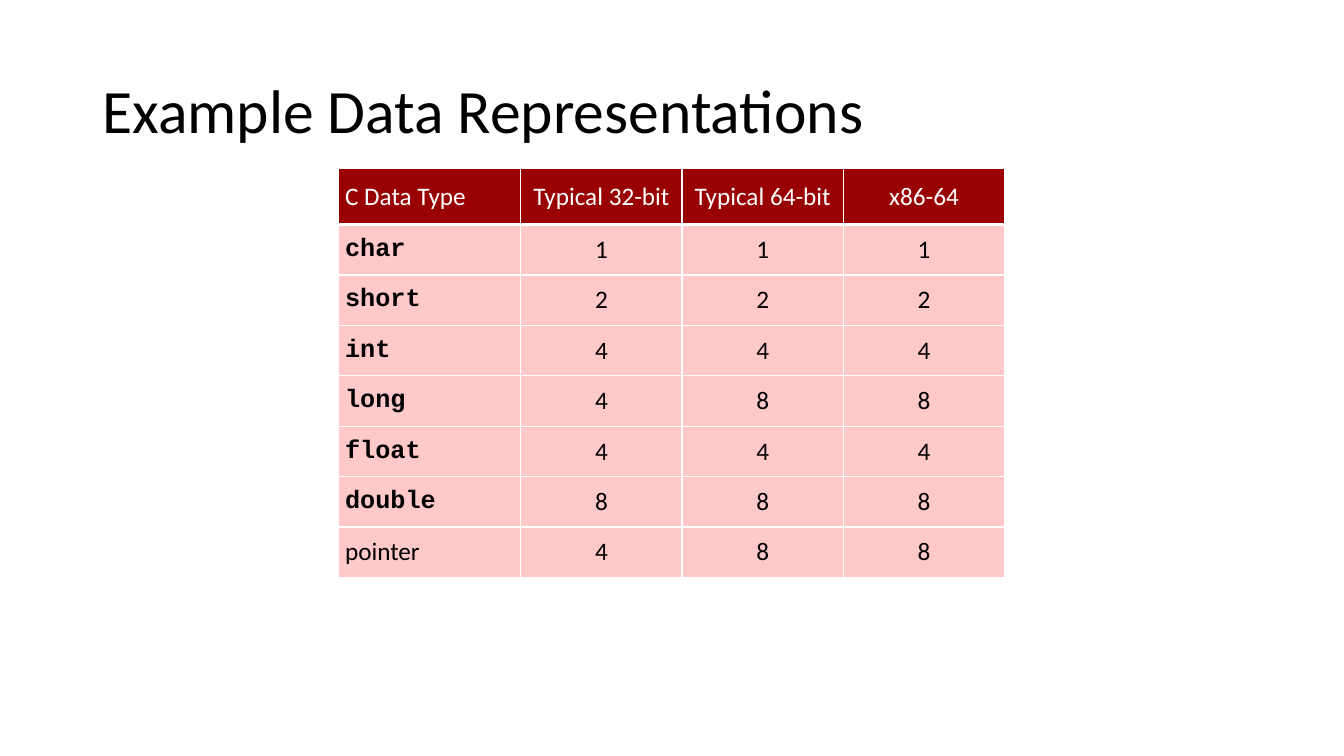
from dataclasses import dataclass

from lxml.etree import SubElement
from pptx import Presentation
from pptx.dml.color import RGBColor
from pptx.enum.text import MSO_ANCHOR, PP_ALIGN
from pptx.oxml.ns import qn
from pptx.util import Pt

# Content: sizes in bytes of each C type
TITLE = "Example Data Representations"
HEADER = ("C Data Type", "Typical 32-bit", "Typical 64-bit", "x86-64")
TYPE_SIZES = [
    ("char", 1, 1, 1),
    ("short", 2, 2, 2),
    ("int", 4, 4, 4),
    ("long", 4, 8, 8),
    ("float", 4, 4, 4),
    ("double", 8, 8, 8),
    ("pointer", 4, 8, 8),
]
KEYWORDS = {"char", "short", "int", "long", "float", "double"}


@dataclass(frozen=True)
class Theme:
    black: str = "000000"
    white: str = "FFFFFF"
    header_fill: str = "980002"
    body_fill: str = "FFC8C9"
    font: str = "Calibri"
    code_font: str = "Courier New"
    title_size: int = 44
    table_size: int = 18
    thin_line: int = 1
    thick_line: int = 3


THEME = Theme()

# Layout, in points
SLIDE_SIZE = (960, 540)
TITLE_BOX = (66, 28.75, 828, 104.4)
TABLE_LEFT, TABLE_TOP = 242, 120.25
COLUMN_WIDTHS = [130] + [115.2] * 3
ROW_HEIGHTS = [40.2] + [36] * len(TYPE_SIZES)
CELL_MARGIN = 4.5


def add_span(para, text, size, color, font=THEME.font, bold=False):
    span = para.add_run()
    span.text = text
    span.font.name = font
    span.font.size = Pt(size)
    span.font.bold = bold
    span.font.color.rgb = RGBColor.from_string(color)


def set_borders(cell, top, bottom):
    """Draw white borders; they must come before the cell's fill."""
    properties = cell._tc.get_or_add_tcPr()
    thin = THEME.thin_line
    sides = (("L", thin), ("R", thin), ("T", top), ("B", bottom))
    for position, (side, width) in enumerate(sides):
        line = SubElement(properties, qn(f"a:ln{side}"), w=str(Pt(width)))
        fill = SubElement(line, qn("a:solidFill"))
        SubElement(fill, qn("a:srgbClr"), val=THEME.white)
        properties.insert(position, line)


def fill_cell(cell, row, column, value):
    is_header = row == 0
    is_code = column == 0 and value in KEYWORDS
    cell.fill.solid()
    cell.fill.fore_color.rgb = RGBColor.from_string(
        THEME.header_fill if is_header else THEME.body_fill)
    cell.vertical_anchor = MSO_ANCHOR.MIDDLE
    cell.margin_left = cell.margin_right = Pt(CELL_MARGIN)
    cell.margin_top = cell.margin_bottom = Pt(CELL_MARGIN)
    para = cell.text_frame.paragraphs[0]
    para.alignment = PP_ALIGN.CENTER if column else PP_ALIGN.LEFT
    add_span(para, str(value), THEME.table_size,
             THEME.white if is_header else THEME.black,
             THEME.code_font if is_code else THEME.font, is_code)
    set_borders(cell,
                top=THEME.thick_line if row == 1 else THEME.thin_line,
                bottom=THEME.thick_line if is_header else THEME.thin_line)


# Deck and page
deck = Presentation()
deck.slide_width, deck.slide_height = map(Pt, SLIDE_SIZE)
page = deck.slides.add_slide(deck.slide_layouts[5])

# Title
title = page.shapes.title
title.left, title.top, title.width, title.height = map(Pt, TITLE_BOX)
title.text_frame.vertical_anchor = MSO_ANCHOR.MIDDLE
title.text_frame.word_wrap = True
title_para = title.text_frame.paragraphs[0]
title_para.alignment = PP_ALIGN.LEFT
title_para.line_spacing = 0.9
add_span(title_para, TITLE, THEME.title_size, THEME.black)

# Table
rows = [HEADER] + TYPE_SIZES
table = page.shapes.add_table(
    len(rows), len(HEADER), Pt(TABLE_LEFT), Pt(TABLE_TOP),
    Pt(sum(COLUMN_WIDTHS)), Pt(sum(ROW_HEIGHTS))).table
table.horz_banding = False
for table_column, width in zip(table.columns, COLUMN_WIDTHS):
    table_column.width = Pt(width)
for table_row, height in zip(table.rows, ROW_HEIGHTS):
    table_row.height = Pt(height)
for row, values in enumerate(rows):
    for column, value in enumerate(values):
        fill_cell(table.cell(row, column), row, column, value)

deck.save("out.pptx")
